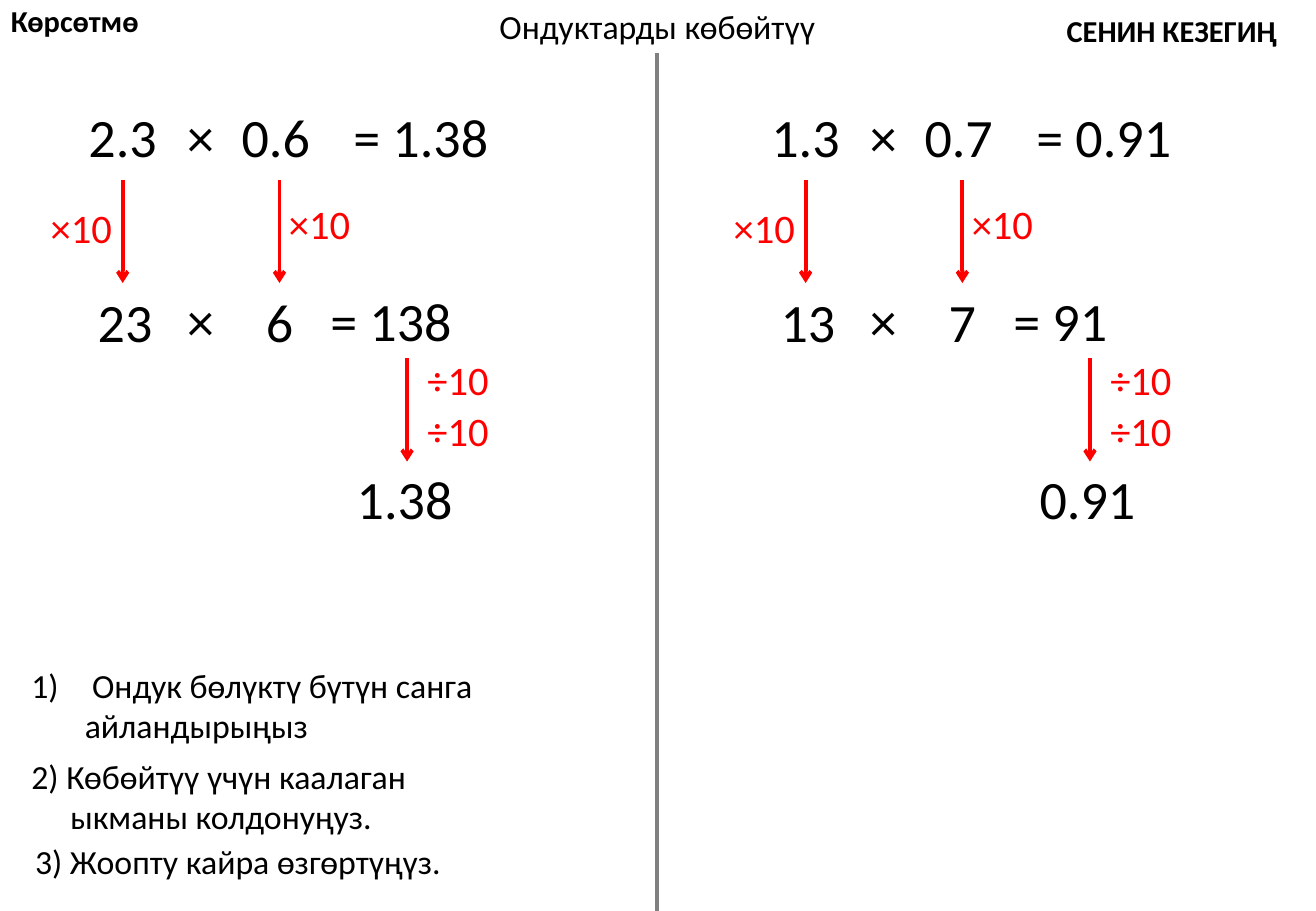
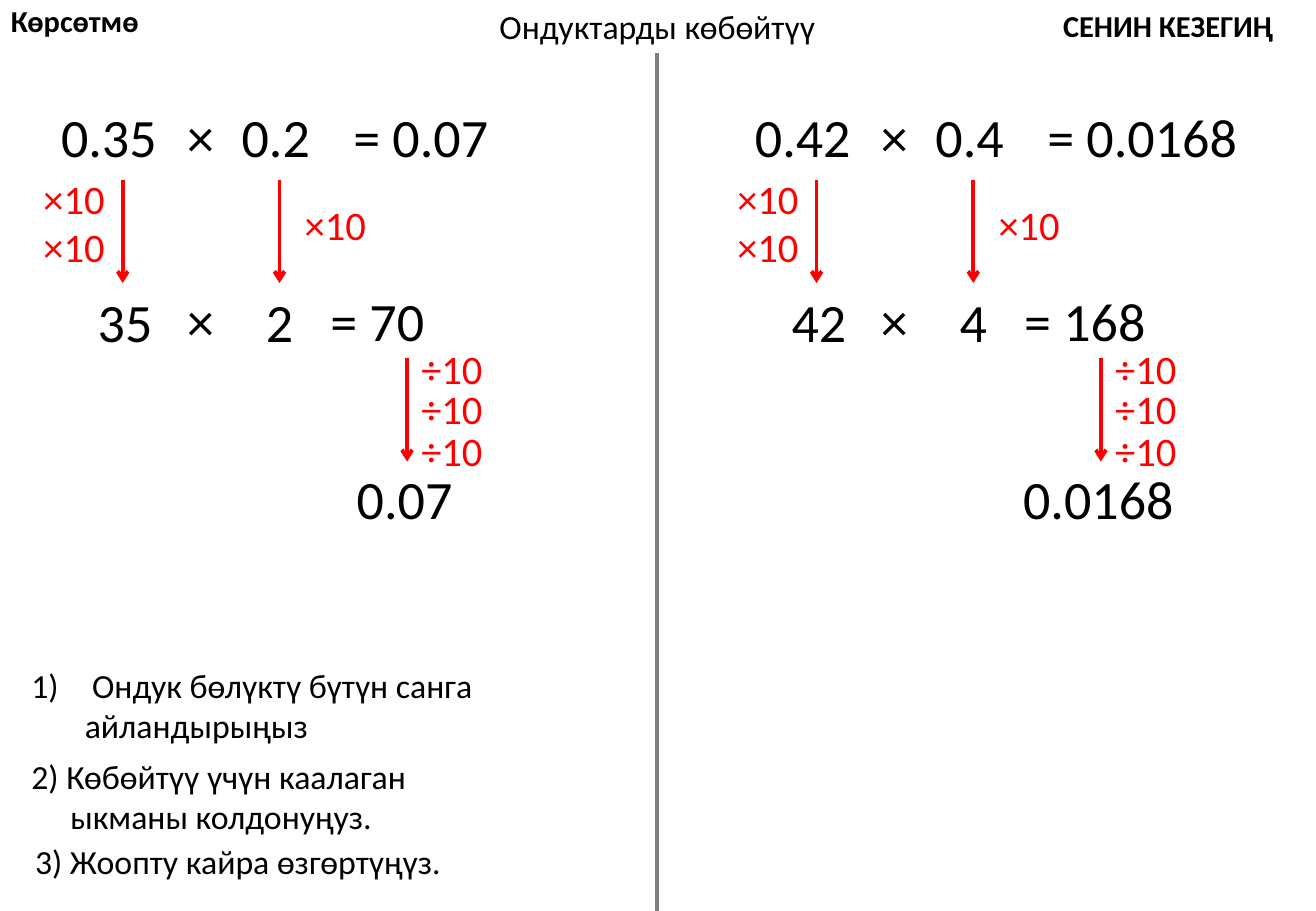
from lxml.etree import SubElement
from pptx import Presentation
from pptx.dml.color import RGBColor as RGB
from pptx.enum.shapes import MSO_CONNECTOR as CONN
from pptx.enum.text import MSO_AUTO_SIZE as AUTO, PP_ALIGN as AL
from pptx.oxml.ns import qn
from pptx.util import Inches, Pt

HUES = {"ink": "000000", "red": "FF0000", "rule": "808080"}
FONTS = {
    "sum": {"size": Pt(32), "hue": "ink"},
    "step": {"size": Pt(24), "hue": "red"},
    "body": {"size": Pt(20), "hue": "ink"},
    "head": {"size": Pt(18), "hue": "ink", "bold": True},
}
TITLE = "Ондуктарды көбөйтүү"
LEFT, RIGHT = "Көрсөтмө", "СЕНИН КЕЗЕГИҢ"
RULES = [
    (0.16, 5.42, 3.93, 0.77, ["Ондук бөлүктү бүтүн санга", "айландырыңыз"], [(0.5, -0.5), (0.44, 0)]),
    (0.16, 6.17, 3.38, 0.77, ["2) Көбөйтүү үчүн каалаган", "ыкманы колдонуңуз."], [(0, 0), (0.32, 0)]),
    (0.19, 6.87, 3.57, 0.44, ["3) Жоопту кайра өзгөртүңүз."], [(0, 0)]),
]
SLIDES = [
    {
        "turn": (8.68, 0.05),
        "shift": 5.62,
        "steps": [("×10", 0.31, [1.62]), ("×10", 2.27, [1.59]), ("÷10", 3.41, [2.87, 3.29])],
        "sums": [("2.3", "0.6", "1.38", "23", "6", "138"), ("1.3", "0.7", "0.91", "13", "7", "91")],
    },
    {
        "turn": (8.65, 0.01),
        "shift": 5.71,
        "steps": [("×10", 0.25, [1.38, 1.78]), ("×10", 2.4, [1.6]), ("÷10", 3.36, [2.78, 3.11, 3.46])],
        "sums": [("0.35", "0.2", "0.07", "35", "2", "70"), ("0.42", "0.4", "0.0168", "42", "4", "168")],
    },
]
ARROWS = [(1.01, 1.48), (2.3, 1.48), (3.35, 2.95)]
REACH = 0.85
TOP, MID, LOW = 0.8, 2.32, 3.78
TALL = 0.64


def put(slide, lines, x, y, w, h, style, align=AL.LEFT, dents=()):
    frame = slide.shapes.add_textbox(*map(Inches, (x, y, w, h))).text_frame
    frame.word_wrap = False
    frame.auto_size = AUTO.SHAPE_TO_FIT_TEXT
    for i, text in enumerate(lines):
        para = frame.paragraphs[0] if i == 0 else frame.add_paragraph()
        para.alignment = align
        if dents:
            props = para._p.get_or_add_pPr()
            left, first = dents[i]
            props.set("marL", str(Inches(left)))
            props.set("indent", str(Inches(first)))
            if first:
                SubElement(props, qn("a:buAutoNum"), type="arabicParenR")
        run = para.add_run()
        run.text = text
        run.font.name = "Calibri"
        for key, value in FONTS[style].items():
            if key == "hue":
                run.font.color.rgb = RGB.from_string(HUES[value])
            else:
                setattr(run.font, key, value)


def draw(slide, x, top, end, hue, tip=False):
    line = slide.shapes.add_connector(CONN.STRAIGHT, *map(Inches, (x, top, x, end)))
    line.line.color.rgb = RGB.from_string(HUES[hue])
    line.line.width = Pt(2.25)
    if tip:
        SubElement(line.line._get_or_add_ln(), qn("a:tailEnd"), type="arrow")
    SubElement(line._element.spPr, qn("a:effectLst"))


def span(text):
    dots = text.count(".")
    return 0.2 + 0.23 * (len(text) - dots) + 0.12 * dots


def work(slide, sums, steps, dx):
    one, two, ans, whole, by, prod = sums
    for text, mid, y in [(two, 2.27, TOP), (whole, 1.03, MID + 0.01), (by, 2.3, MID + 0.01), (ans, 3.33, LOW)]:
        wide = span(text)
        put(slide, [text], dx + mid - wide / 2, y, wide, TALL, "sum", AL.CENTER)
    put(slide, [one], dx + 1.39 - span(one), TOP, span(one), TALL, "sum", AL.RIGHT)
    for text, x, y in [(ans, 2.81, TOP), (prod, 2.62, MID)]:
        put(slide, ["= " + text], dx + x, y, span(text) + 0.32, TALL, "sum")
    for y in (TOP, MID):
        put(slide, ["×"], dx + 1.43, y, 0.43, TALL, "sum", AL.RIGHT)
    for x, y in ARROWS:
        draw(slide, dx + x, y, y + REACH, "red", True)
    for text, x, tops in steps:
        for y in tops:
            put(slide, [text], dx + x, y, 0.71, 0.5, "step", AL.RIGHT)


def main():
    deck = Presentation()
    deck.slide_width, deck.slide_height = Inches(10.83), Inches(7.5)
    for page in SLIDES:
        slide = deck.slides.add_slide(deck.slide_layouts[6])
        draw(slide, 5.41, 0.44, 7.5, "rule")
        put(slide, [LEFT], -0.01, -0.03, 1.38, 0.4, "head")
        put(slide, [RIGHT], *page["turn"], 2.27, 0.4, "head")
        put(slide, [TITLE], 4, 0, 2.82, 0.44, "body", AL.CENTER)
        for i, sums in enumerate(page["sums"]):
            work(slide, sums, page["steps"], i * page["shift"])
        for x, y, w, h, lines, dents in RULES:
            put(slide, lines, x, y, w, h, "body", dents=dents)
    deck.save("out.pptx")


if __name__ == "__main__":
    main()
